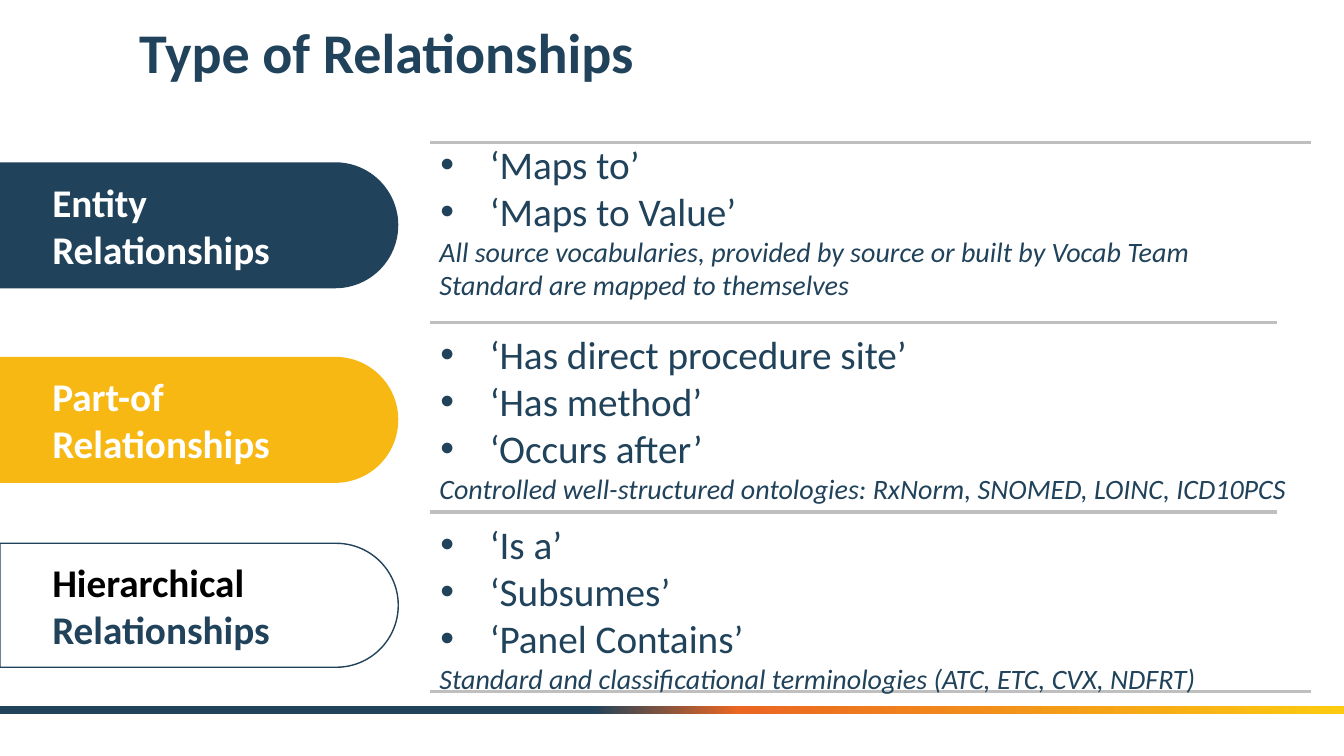
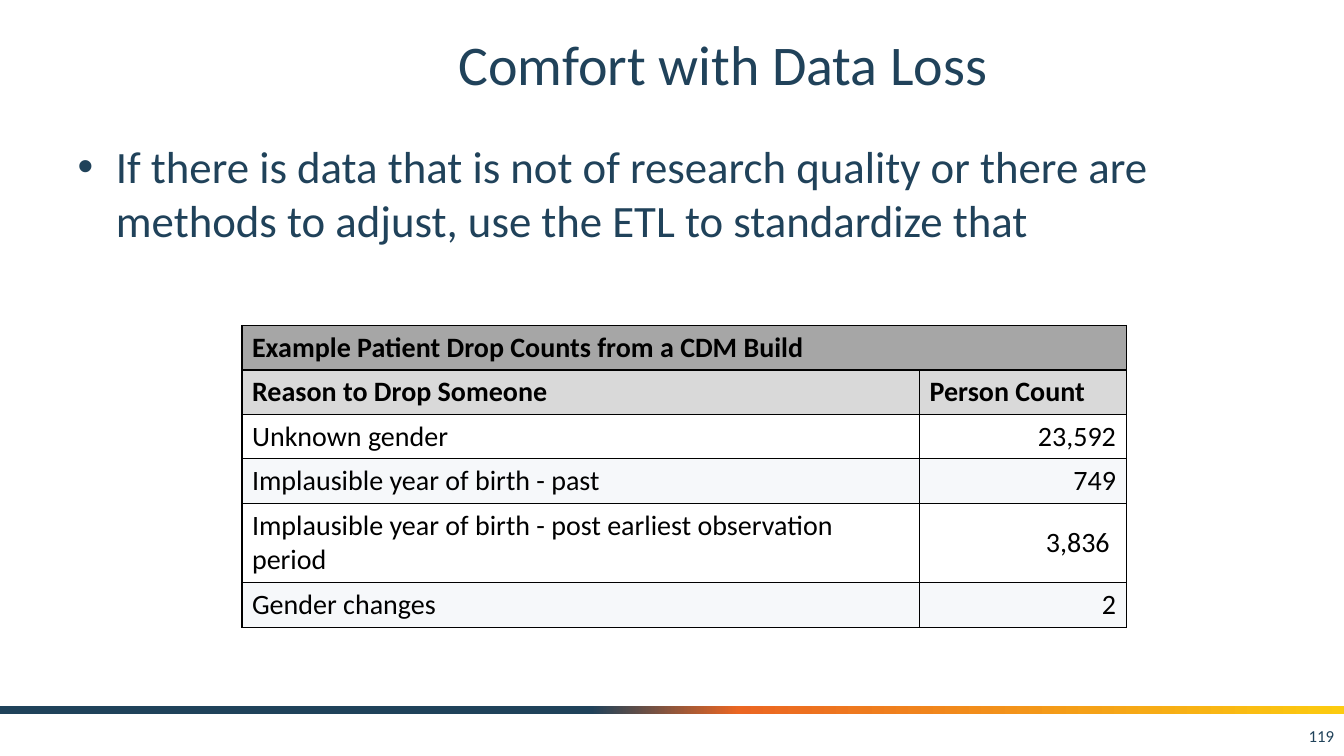
from copy import deepcopy
from dataclasses import dataclass

from lxml import etree
from pptx import Presentation
from pptx import util as u
from pptx.dml import color
from pptx.enum import shapes, text
from pptx.oxml import ns

Inches = u.Inches


@dataclass(frozen=True)
class Theme:
    """Colours and type sizes of the deck."""
    font: str = "Calibri"
    navy: str = "20425A"
    gold: str = "F8B814"
    orange: str = "EB6622"
    yellow: str = "FCCB10"
    rule: str = "BFBFBF"
    white: str = "FFFFFF"
    black: str = "000000"
    head: str = "A6A6A6"
    subhead: str = "D9D9D9"
    stripe: str = "F6F8FA"
    title: int = 40
    body: int = 32
    item: int = 28
    note: int = 20
    number: int = 12


def rgb(value):
    """Turn a hex string into a colour."""
    return color.RGBColor.from_string(value)


def inches(box):
    """Turn a row of numbers into lengths."""
    return [Inches(value) for value in box]


def child(parent, tag, **attributes):
    """Append a drawing element to its parent."""
    return etree.SubElement(parent, ns.qn(tag), attributes)


class Deck:
    """Holds the style, the presentation and the current slide."""

    def __init__(self, theme):
        """Start an empty wide deck."""
        self.theme = theme
        self.deck = Presentation()
        self.deck.slide_width = Inches(13.33)
        self.deck.slide_height = Inches(7.5)
        self.page = None

    def slide(self, layout):
        """Add a slide, and put the band on the master with the first one."""
        self.page = self.deck.slides.add_slide(self.deck.slide_layouts[layout])
        if len(self.deck.slides) == 1:
            self.band()

    def band(self):
        """Draw the gradient band and move it to the slide master."""
        theme = self.theme
        band = self.page.shapes.add_shape(
            shapes.MSO_SHAPE.RECTANGLE, 0, Inches(7), self.deck.slide_width, Inches(0.08))
        band.shadow.inherit = False
        band.line.fill.background()
        band.fill.gradient()
        band.fill.gradient_angle = 0
        stop_list = next(band.element.iter(ns.qn("a:gsLst")))
        stop_list.append(deepcopy(stop_list[-1]))
        stops = ((0.44, theme.navy), (0.55, theme.orange), (1, theme.yellow))
        for stop, (position, tone) in zip(band.fill.gradient_stops, stops):
            stop.position = position
            stop.color.rgb = rgb(tone)
        band.element.nvSpPr.cNvPr.set("id", "100")
        self.deck.slide_master.shapes.element.append(band.element)

    def style(self, font, size, tone, bold=False, italic=False):
        """Format one font."""
        font.name = self.theme.font
        font.size = u.Pt(size)
        font.color.rgb = rgb(tone)
        font.bold = bold
        font.italic = italic

    def bullet(self, para, margin, indent):
        """Give a paragraph a round bullet with a hanging indent."""
        properties = para._p.get_or_add_pPr()
        properties.set("marL", str(Inches(margin)))
        properties.set("indent", str(Inches(indent)))
        child(properties, "a:buFont", typeface="Arial")
        child(properties, "a:buChar", char="•")

    def place(self, shape, box, anchor, inset=(0.1, 0.05)):
        """Move a text shape and set how its frame behaves."""
        shape.left, shape.top, shape.width, shape.height = inches(box)
        frame = shape.text_frame
        frame.word_wrap = True
        frame.auto_size = text.MSO_AUTO_SIZE.NONE
        frame.vertical_anchor = anchor
        frame.margin_left = frame.margin_right = Inches(inset[0])
        frame.margin_top = frame.margin_bottom = Inches(inset[1])
        return frame

    def text_box(self, box, anchor=text.MSO_ANCHOR.TOP):
        """Add an empty text box and return its frame."""
        return self.place(self.page.shapes.add_textbox(*inches(box)), box, anchor)

    def title(self, words, box, align, anchor, inset=(0.1, 0.05), bold=False, spacing=1.0):
        """Fill the title placeholder."""
        frame = self.place(self.page.shapes.title, box, anchor, inset)
        frame.text = words
        para = frame.paragraphs[0]
        para.alignment = align
        para.line_spacing = spacing
        self.style(para.font, self.theme.title, self.theme.navy, bold)

    def body(self, words, box):
        """Fill the body placeholder with one bullet."""
        frame = self.place(self.page.placeholders[1], box, text.MSO_ANCHOR.TOP)
        frame.text = words
        para = frame.paragraphs[0]
        self.bullet(para, 0.38, -0.38)
        para.space_before = u.Pt(0)
        self.style(para.font, self.theme.body, self.theme.navy)

    def number(self, words):
        """Write the page number at the bottom right."""
        frame = self.text_box((10.22, 7.1, 3.11, 0.4), text.MSO_ANCHOR.MIDDLE)
        frame.text = words
        para = frame.paragraphs[0]
        para.alignment = text.PP_ALIGN.RIGHT
        self.style(para.font, self.theme.number, self.theme.navy)

    def tab(self, middle, depth, fill=None):
        """Draw a tab at the left edge, rounded on its right side."""
        length = 3.95
        tab = self.page.shapes.add_shape(
            shapes.MSO_SHAPE.ROUND_2_SAME_RECTANGLE,
            *inches(((length - depth) / 2, middle - length / 2, depth, length)))
        tab.rotation = 90
        tab.adjustments[0] = 0.5
        tab.adjustments[1] = 0
        tab.shadow.inherit = False
        if fill:
            tab.fill.solid()
            tab.fill.fore_color.rgb = rgb(fill)
            tab.line.fill.background()
        else:
            tab.fill.background()
            tab.line.color.rgb = rgb(self.theme.navy)
            tab.line.width = u.Pt(1)

    def label(self, middle, spans):
        """Write the bold label of a tab from (words, colour) pairs."""
        frame = self.text_box((0.42, middle - 0.515, 2.82, 1.03), text.MSO_ANCHOR.MIDDLE)
        for words, tone in spans:
            span = frame.paragraphs[0].add_run()
            span.text = words
            self.style(span.font, self.theme.item, tone, bold=True)

    def rule(self, right, top):
        """Draw a grey horizontal rule."""
        rule = self.page.shapes.add_connector(
            shapes.MSO_CONNECTOR.STRAIGHT, *inches((right, top, 4.26, top)))
        rule.line.color.rgb = rgb(self.theme.rule)
        rule.line.width = u.Pt(2.25)
        child(rule.element.spPr, "a:effectLst")

    def examples(self, box, items, notes):
        """Write bulleted items followed by italic notes."""
        frame = self.text_box(box)
        frame.text = "\n".join(items + notes)
        for index, para in enumerate(frame.paragraphs):
            is_note = index >= len(items)
            if not is_note:
                self.bullet(para, 0.5, -0.49)
            size = self.theme.note if is_note else self.theme.item
            self.style(para.font, size, self.theme.navy, italic=is_note)

    def cell(self, cell, words, fill, bold, align):
        """Fill and border one table cell."""
        properties = cell._tc.get_or_add_tcPr()
        for side in ("a:lnL", "a:lnR", "a:lnT", "a:lnB"):
            line = child(properties, side, w=str(u.Pt(1)))
            child(child(line, "a:solidFill"), "a:srgbClr", val=self.theme.black)
        cell.fill.solid()
        cell.fill.fore_color.rgb = rgb(fill)
        cell.vertical_anchor = text.MSO_ANCHOR.MIDDLE
        cell.text = words
        para = cell.text_frame.paragraphs[0]
        para.alignment = align
        self.style(para.font, self.theme.note, self.theme.black, bold)

    def table(self, box, widths, heights, rows):
        """Add a table with a merged heading row and a column heading row."""
        theme = self.theme
        table = self.page.shapes.add_table(len(rows), len(widths), *inches(box)).table
        table.first_row = table.horz_banding = False
        for column, width in zip(table.columns, widths):
            column.width = Inches(width)
        for row, height in zip(table.rows, heights):
            row.height = Inches(height)
        fills = [theme.head, theme.subhead]
        for r, row in enumerate(rows):
            fill = fills[r] if r < 2 else (theme.white, theme.stripe)[r % 2]
            for c, words in enumerate(row):
                right = r > 1 and c == 1
                align = text.PP_ALIGN.RIGHT if right else text.PP_ALIGN.LEFT
                self.cell(table.cell(r, c), words, fill, r < 2, align)
        table.cell(0, 0).merge(table.cell(0, len(widths) - 1))


def relationships(deck):
    """Build the slide on types of relationships."""
    theme = deck.theme
    deck.slide(5)
    deck.title("Type of Relationships", (1.25, 0.12, 8.25, 0.69), text.PP_ALIGN.LEFT,
               text.MSO_ANCHOR.TOP, inset=(0.13, 0.13), bold=True, spacing=0.9)
    tabs = (
        (2.235, 1.25, theme.navy, [("Entity Relationships", theme.white)]),
        (4.165, 1.25, theme.gold, [("Part-of Relationships", theme.white)]),
        (6.005, 1.23, None, [("Hierarchical ", theme.black), ("Relationships", theme.navy)]),
    )
    for middle, depth, fill, spans in tabs:
        deck.tab(middle, depth, fill)
        deck.label(middle, spans)
    for right, top in ((13, 1.41), (12.67, 3.2), (12.67, 5.08), (13, 6.86)):
        deck.rule(right, top)
    deck.examples(
        (4.26, 1.34, 8.79, 1.72), ["‘Maps to’", "‘Maps to Value’"],
        ["All source vocabularies, provided by source or built by Vocab Team",
         "Standard are mapped to themselves"])
    deck.examples(
        (4.26, 3.23, 8.92, 1.85),
        ["‘Has direct procedure site’", "‘Has method’", "‘Occurs after’"],
        ["Controlled well-structured ontologies: RxNorm, SNOMED, LOINC, ICD10PCS"])
    deck.examples(
        (4.26, 5.11, 8.62, 1.85), ["‘Is a’", "‘Subsumes’", "‘Panel Contains’"],
        ["Standard and classificational terminologies (ATC, ETC, CVX, NDFRT)"])


def data_loss(deck):
    """Build the slide on data loss."""
    deck.slide(1)
    deck.title("Comfort with Data Loss", (1.67, 0.17, 11, 0.92),
               text.PP_ALIGN.CENTER, text.MSO_ANCHOR.MIDDLE)
    deck.number("119")
    deck.body("If there is data that is not of research quality or there are methods "
              "to adjust, use the ETL to standardize that", (0.67, 1.33, 12, 5.37))
    deck.table((2.4, 3.23, 8.77, 2.99), (6.72, 2.05), (0.44, 0.44, 0.44, 0.44, 0.79, 0.44), (
        ("Example Patient Drop Counts from a CDM Build", ""),
        ("Reason to Drop Someone", "Person Count"),
        ("Unknown gender", "23,592"),
        ("Implausible year of birth - past", "749"),
        ("Implausible year of birth - post earliest observation period", "3,836 "),
        ("Gender changes", "2"),
    ))


def main():
    """Build and save the deck."""
    deck = Deck(Theme())
    relationships(deck)
    data_loss(deck)
    deck.deck.save("out.pptx")


if __name__ == "__main__":
    main()
